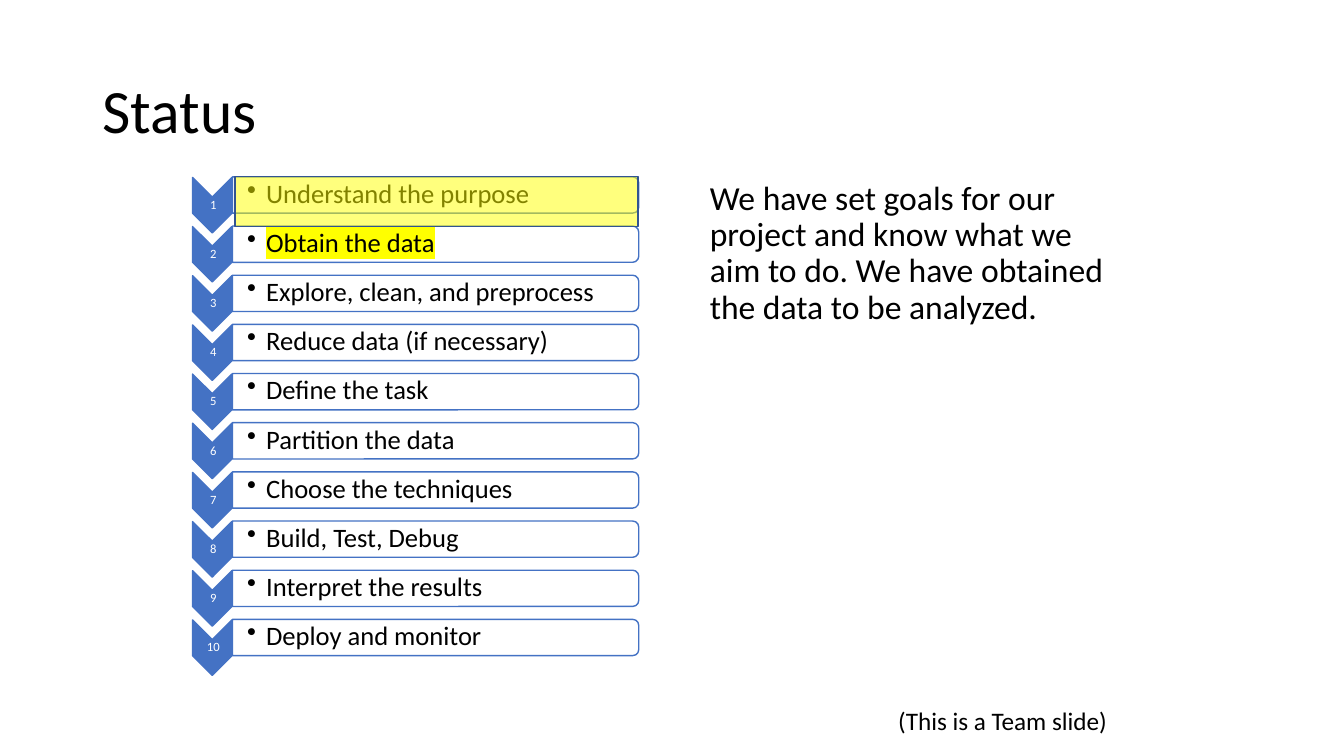
from lxml import etree
from pptx import Presentation
from pptx.dml.color import RGBColor
from pptx.enum.shapes import MSO_SHAPE
from pptx.enum.text import MSO_ANCHOR, PP_ALIGN
from pptx.oxml.ns import qn
from pptx.util import Inches, Pt

CHEVRON = MSO_SHAPE.CHEVRON
BAR = MSO_SHAPE.ROUND_2_SAME_RECTANGLE
RECT = MSO_SHAPE.RECTANGLE
TOP, MIDDLE = MSO_ANCHOR.TOP, MSO_ANCHOR.MIDDLE
LEFT, CENTER = PP_ALIGN.LEFT, PP_ALIGN.CENTER
color = RGBColor.from_string
BLUE, WHITE, BLACK, YELLOW = "4472C4", "FFFFFF", "000000", "FFFF00"

deck = Presentation()
deck.slide_width, deck.slide_height = Inches(13.33), Inches(7.5)
slide = deck.slides.add_slide(deck.slide_layouts[6])


def add_text(text, box, size, ink=BLACK, anchor=TOP, align=LEFT,
             inset=(0.1, 0.05, 0.1, 0.05), spacing=0.9, wrap=True):
    frame = slide.shapes.add_textbox(*map(Inches, box)).text_frame
    left, top, right, bottom = map(Inches, inset)
    form = dict(word_wrap=wrap, vertical_anchor=anchor, margin_left=left,
                margin_top=top, margin_right=right, margin_bottom=bottom)
    for name, value in form.items():
        setattr(frame, name, value)
    para = frame.paragraphs[0]
    para.alignment, para.line_spacing = align, spacing
    run = para.add_run()
    run.text = text
    run.font.size, run.font.name = Pt(size), "Calibri"
    run.font.color.rgb = color(ink)
    return para


def add_block(kind, box, fill, line, turn=0, alpha=100):
    block = slide.shapes.add_shape(kind, *map(Inches, box))
    block.shadow.inherit = False
    block.rotation = turn
    block.fill.solid()
    block.fill.fore_color.rgb = color(fill)
    block.line.color.rgb = color(line)
    block.line.width = Pt(1)
    if alpha < 100:
        tint = block.fill._xPr.find(qn("a:solidFill"))[0]
        etree.SubElement(tint, qn("a:alpha")).set("val", str(alpha * 1000))


# Title and status message
add_text("Status", (0.92, 0.4, 11.5, 1.45), 44, anchor=MIDDLE)
add_text("We have set goals for our project and know what we aim to do. "
         "We have obtained the data to be analyzed.",
         (6.5, 1.75, 4.67, 4.95), 24, inset=(0.54, 0.05, 0.1, 0.05))

# Numbered steps, evenly spaced
steps = ["Understand the purpose", "Obtain the data",
         "Explore, clean, and preprocess", "Reduce data (if necessary)",
         "Define the task", "Partition the data", "Choose the techniques",
         "Build, Test, Debug", "Interpret the results", "Deploy and monitor"]
pitch = 4.39 / (len(steps) - 1)
thin = 0.01
for i, step in enumerate(steps):
    drop = i * pitch
    add_block(CHEVRON, (1.83, 1.84 + drop, 0.55, 0.39), BLUE, BLUE, 90)
    add_text(str(i + 1), (1.92, 1.95 + drop, 0.39, 0.17), 9, WHITE,
             MIDDLE, CENTER, (thin,) * 4)
    add_block(BAR, (4.14, drop - 0.08, 0.36, 4.03), WHITE, BLUE, 90, 90)
    para = add_text(step, (2.3, 1.77 + drop, 4.01, 0.32), 19,
                    anchor=MIDDLE, inset=(0.15, thin, thin, thin))

    # Bullet with hanging indent
    props = para._p.get_or_add_pPr()
    props.set("marL", str(Inches(0.19)))
    props.set("indent", str(-Inches(0.19)))
    etree.SubElement(props, qn("a:buChar")).set("char", "•")

    # Text marker on the current step
    if step == "Obtain the data":
        mark = etree.Element(qn("a:highlight"))
        etree.SubElement(mark, qn("a:srgbClr")).set("val", YELLOW)
        para.runs[0].font._rPr.find(qn("a:solidFill")).addnext(mark)

# Marker over the finished step
add_block(RECT, (2.33, 1.75, 4, 0.5), YELLOW, "325491", alpha=51)

# Footer
add_text("(This is a Team slide)", (8.81, 6.95, 2.3, 0.4), 18,
         spacing=1.0, wrap=False)

deck.save("out.pptx")
